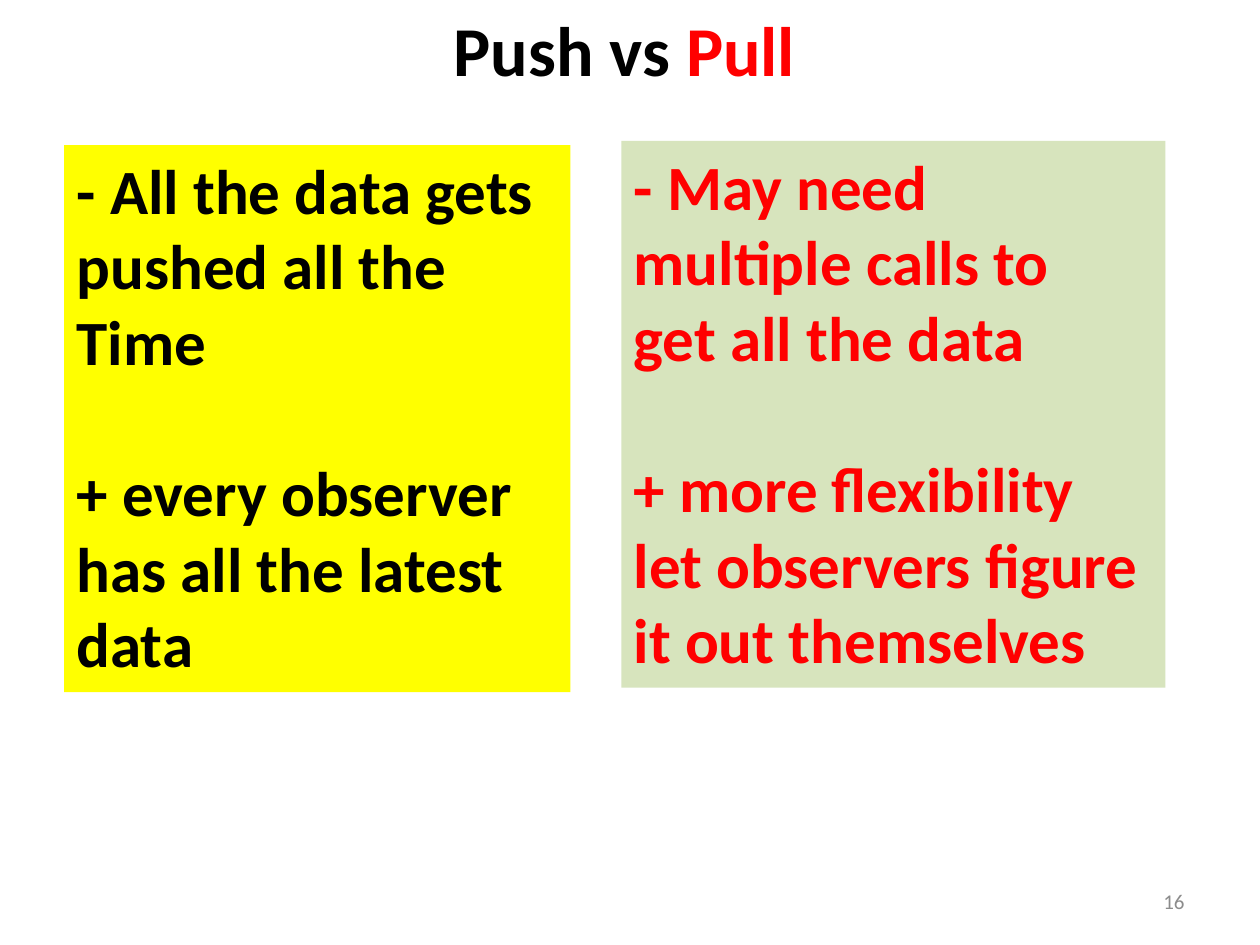
from dataclasses import dataclass

from pptx import Presentation
from pptx.dml.color import RGBColor
from pptx.enum.shapes import MSO_SHAPE
from pptx.enum.text import MSO_ANCHOR, PP_ALIGN
from pptx.util import Pt

RECT = MSO_SHAPE.RECTANGLE
TOP, MIDDLE = MSO_ANCHOR.TOP, MSO_ANCHOR.MIDDLE
LEFT, CENTER, RIGHT = PP_ALIGN.LEFT, PP_ALIGN.CENTER, PP_ALIGN.RIGHT


@dataclass(frozen=True)
class Theme:
    font: str = "Calibri"
    push: RGBColor = RGBColor(0, 0, 0)
    pull: RGBColor = RGBColor(255, 0, 0)
    push_fill: RGBColor = RGBColor(255, 255, 0)
    pull_fill: RGBColor = RGBColor(0xD7, 0xE4, 0xBD)
    muted: RGBColor = RGBColor(0x8C, 0x8C, 0x8C)
    title: int = 40
    body: int = 36
    number: int = 12
    group_gap: float = 43.2


T = Theme()


def style(p, size, color, align, bold=True):
    p.alignment = align
    p.font.name = T.font
    p.font.size = Pt(size)
    p.font.bold = bold
    p.font.color.rgb = color


def add_text(s, box, anchor):
    tf = s.shapes.add_textbox(*map(Pt, box)).text_frame
    tf.word_wrap = True
    tf.vertical_anchor = anchor
    return tf.paragraphs[0]


def add_title(s, box):
    p = add_text(s, box, TOP)
    style(p, T.title, T.push, CENTER)
    p.add_run().text = "Push vs "
    r = p.add_run()
    r.text = "Pull"
    r.font.color.rgb = T.pull


def add_panel(s, box, fill, color, groups):
    sp = s.shapes.add_shape(RECT, *map(Pt, box))
    sp.shadow.inherit = False
    sp.fill.solid()
    sp.fill.fore_color.rgb = fill
    sp.line.fill.background()
    tf = sp.text_frame
    tf.word_wrap = True
    tf.vertical_anchor = TOP
    p = tf.paragraphs[0]
    for g, lines in enumerate(groups):
        for i, line in enumerate(lines):
            if g or i:
                p = tf.add_paragraph()
            p.text = line
            style(p, T.body, color, LEFT)
            if g and i == 0:
                p.space_before = Pt(T.group_gap)


def add_number(s, box, number):
    p = add_text(s, box, MIDDLE)
    p.text = number
    style(p, T.number, T.muted, RIGHT, bold=False)


def main():
    prs = Presentation()
    prs.slide_width, prs.slide_height = Pt(720), Pt(540)
    s = prs.slides.add_slide(prs.slide_layouts[6])
    add_number(s, (516, 500.5, 168, 28.75), "16")
    add_title(s, (70.5, 0, 572.5, 55.5))
    add_panel(s, (36.75, 83, 289.25, 312.5), T.push_fill, T.push, (
        ("- All the data gets", "pushed all the", "Time"),
        ("+ every observer", "has all the latest", "data"),
    ))
    add_panel(s, (355, 80.5, 311, 312.5), T.pull_fill, T.pull, (
        ("- May need", "multiple calls to", "get all the data"),
        ("+ more flexibility", "let observers figure", "it out themselves"),
    ))
    prs.save("out.pptx")


if __name__ == "__main__":
    main()
